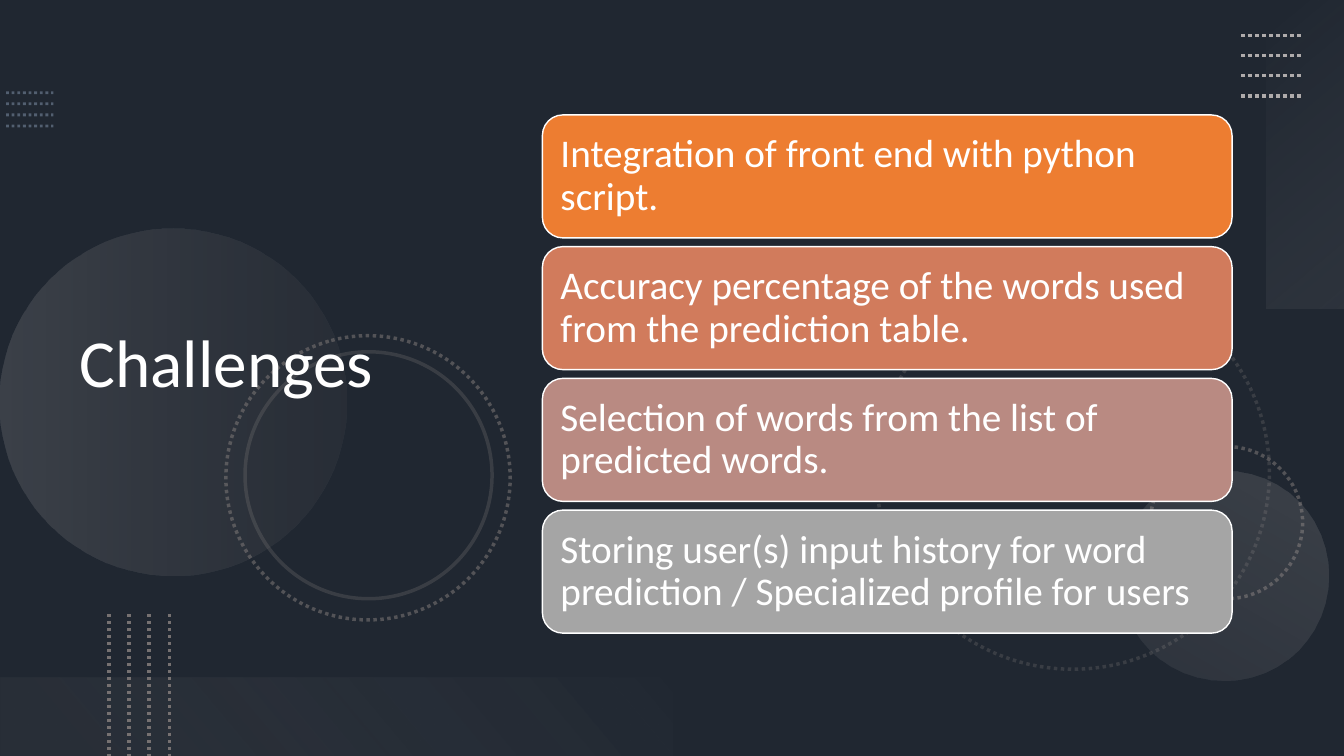
"""Build the Challenges slide: four stacked cards over a dark background of circles and dots."""
from pptx import Presentation
from pptx.dml.color import RGBColor
from pptx.enum.dml import MSO_LINE
from pptx.enum.shapes import MSO_CONNECTOR, MSO_SHAPE
from pptx.enum.text import MSO_ANCHOR, PP_ALIGN
from pptx.oxml.ns import qn
from pptx.oxml.xmlchemy import OxmlElement
from pptx.util import Inches, Pt

COLORS = {
    "background": "44546A", "shade": "000000", "white": "FFFFFF",
    "blue": "8497B0", "silver": "AFABAB", "gray": "767171",
    "pale": "F5F5F5", "mist": "F1F0F0",
    "orange": "ED7D31", "terracotta": "D17B5C", "rose": "B98A82", "stone": "A5A5A5",
}
COLORS = {name: RGBColor.from_string(code) for name, code in COLORS.items()}


def set_opacity(shape, *percents):
    """Give the colours of a shape, in order, their opacity."""
    for color, percent in zip(shape.element.iter(qn("a:srgbClr")), percents):
        alpha = OxmlElement("a:alpha")
        alpha.set("val", str(percent * 1000))
        color.append(alpha)


def write_text(shape, text, size, inset=0.1, vertical_inset=0.05):
    """Write one left-aligned, vertically centred white paragraph."""
    frame = shape.text_frame
    frame.word_wrap = True
    frame.vertical_anchor = MSO_ANCHOR.MIDDLE
    frame.margin_left = frame.margin_right = Inches(inset)
    frame.margin_top = frame.margin_bottom = Inches(vertical_inset)
    paragraph = frame.paragraphs[0]
    paragraph.alignment = PP_ALIGN.LEFT
    paragraph.line_spacing = 0.9
    run = paragraph.add_run()
    run.text = text
    run.font.size = Pt(size)
    run.font.name = "Calibri"
    run.font.color.rgb = COLORS["white"]


presentation = Presentation()
presentation.slide_width = Inches(13.33)
presentation.slide_height = Inches(7.5)
slide = presentation.slides.add_slide(presentation.slide_layouts[5])
slide.background.fill.solid()
slide.background.fill.fore_color.rgb = COLORS["background"]

shade = slide.shapes.add_shape(
    MSO_SHAPE.RECTANGLE, 0, 0, presentation.slide_width, presentation.slide_height)
shade.shadow.inherit = False
shade.fill.solid()
shade.fill.fore_color.rgb = COLORS["shade"]
shade.line.fill.background()
set_opacity(shade, 53)

rings = [
    (8.69, 2.74, 3.9, MSO_LINE.ROUND_DOT, 30),
    (11.41, 4.43, 1.51, MSO_LINE.ROUND_DOT, 60),
    (2.24, 3.33, 2.82, MSO_LINE.ROUND_DOT, 60),
    (2.43, 3.49, 2.45, MSO_LINE.SOLID, 30),
]
for left, top, diameter, dash, opacity in rings:
    ring = slide.shapes.add_shape(
        MSO_SHAPE.OVAL, Inches(left), Inches(top), Inches(diameter), Inches(diameter))
    ring.rotation = 75
    ring.shadow.inherit = False
    ring.fill.background()
    ring.line.color.rgb = COLORS["gray"]
    ring.line.width = Pt(2.5)
    ring.line.dash_style = dash
    set_opacity(ring, opacity)

glows = [
    (MSO_SHAPE.OVAL, (0, 2.27, 3.44, 3.44), 270, 90, (0, "silver", 20), (1, "gray", 10)),
    (MSO_SHAPE.OVAL, (11.1, 4.67, 2.08, 2.08), 210, 90, (0, "silver", 10), (1, "silver", 20)),
    (MSO_SHAPE.RECTANGLE, (11.42, 1.14, 3.06, 0.78), 270, 140, (0, "pale", 0), (1, "silver", 10)),
    (MSO_SHAPE.RECTANGLE, (0, 6.72, 6.67, 0.78), 180, 140, (0.1, "gray", 10), (1, "mist", 0)),
]
for kind, box, rotation, angle, *stops in glows:
    glow = slide.shapes.add_shape(kind, *map(Inches, box))
    glow.rotation = rotation
    glow.shadow.inherit = False
    glow.line.fill.background()
    glow.fill.gradient()
    glow.fill.gradient_angle = 360 - angle
    for gradient_stop, (position, color, opacity) in zip(glow.fill.gradient_stops, stops):
        gradient_stop.position = position
        gradient_stop.color.rgb = COLORS[color]
    set_opacity(glow, *(opacity for position, color, opacity in stops))

dotted_sets = [
    (0.06, 0.92, 0.47, 0, 0, 0.11, "blue", 2, 50),
    (12.31, 0.35, 0.6, 0, 0, 0.2, "silver", 2.5, 100),
    (1.08, 6.09, 0, 1.41, 0.2, 0, "gray", 2.5, 100),
]
for left, top, width, height, step_x, step_y, color, weight, opacity in dotted_sets:
    for index in range(4):
        x, y = left + index * step_x, top + index * step_y
        dots = slide.shapes.add_connector(
            MSO_CONNECTOR.STRAIGHT, Inches(x), Inches(y), Inches(x + width), Inches(y + height))
        dots.line.color.rgb = COLORS[color]
        dots.line.width = Pt(weight)
        dots.line.dash_style = MSO_LINE.ROUND_DOT
        dots.element.spPr.append(OxmlElement("a:effectLst"))
        set_opacity(dots, opacity)

title = slide.shapes.title
title.left, title.top, title.width, title.height = map(Inches, (0.69, 0.54, 4.59, 6.17))
title.element.getparent().append(title.element)
write_text(title, "Challenges", size=48)

challenges = [
    ("Integration of front end with python script.", "orange"),
    ("Accuracy percentage of the words used from the prediction table.", "terracotta"),
    ("Selection of words from the list of predicted words.", "rose"),
    ("Storing user(s) input history for word prediction / Specialized profile for users", "stone"),
]
for index, (text, color) in enumerate(challenges):
    card = slide.shapes.add_shape(
        MSO_SHAPE.ROUNDED_RECTANGLE,
        Inches(5.38), Inches(1.14 + index * 1.307), Inches(6.84), Inches(1.22))
    card.shadow.inherit = False
    card.fill.solid()
    card.fill.fore_color.rgb = COLORS[color]
    card.line.color.rgb = COLORS["white"]
    card.line.width = Pt(1)
    write_text(card, text, size=28, inset=0.12, vertical_inset=0.12)

presentation.save("out.pptx")
